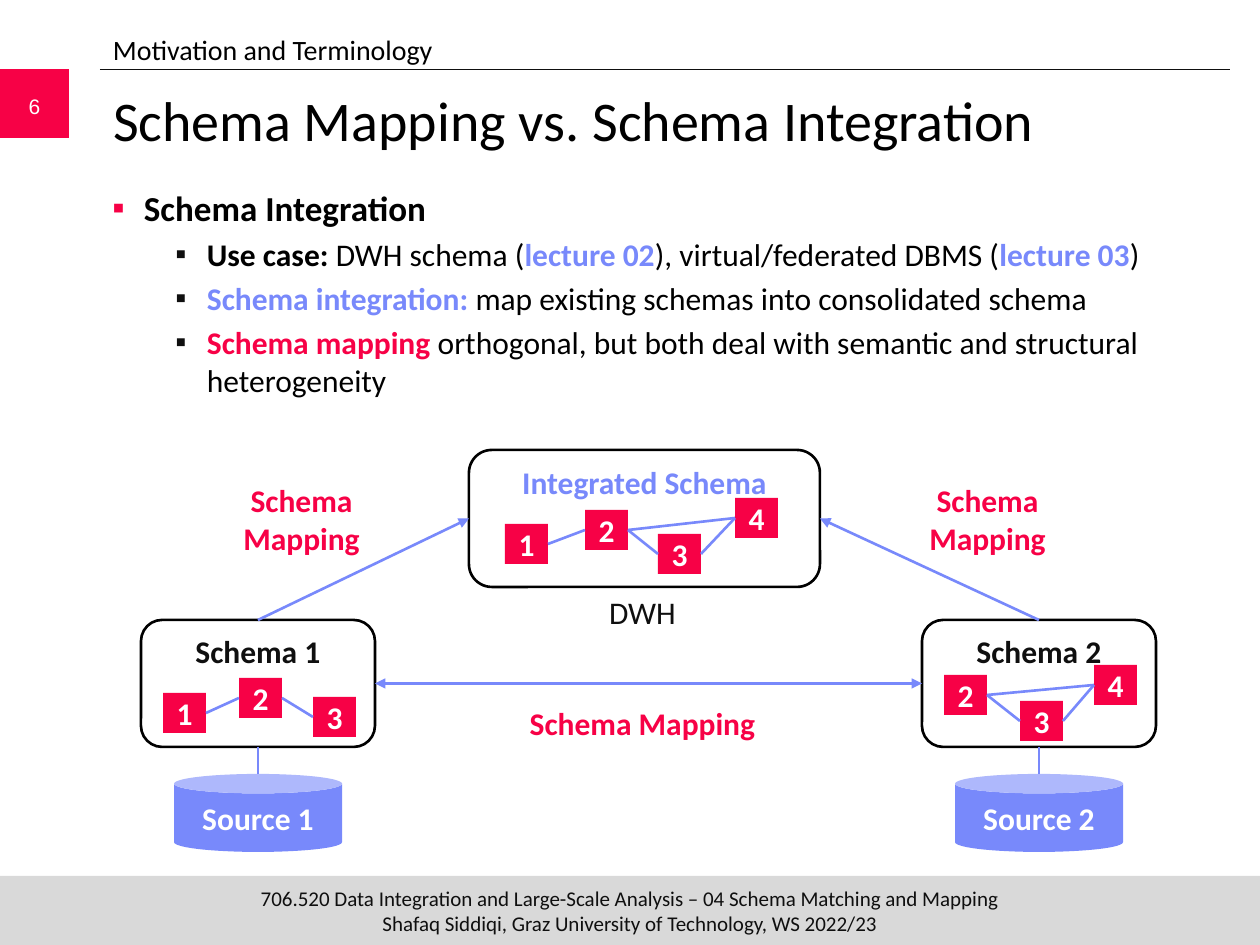
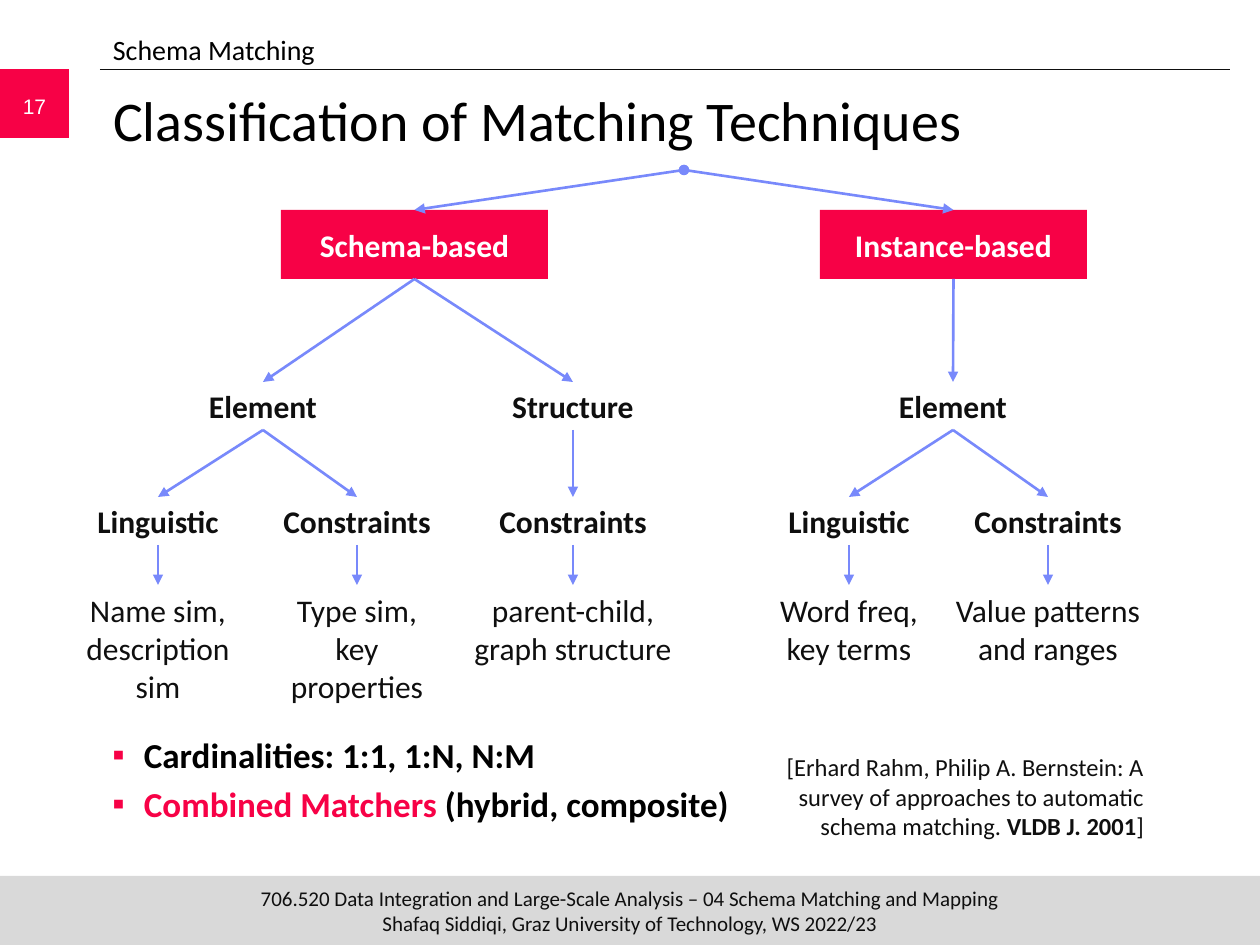
from lxml import etree
from pptx import Presentation
from pptx.dml.color import RGBColor
from pptx.enum.shapes import MSO_CONNECTOR, MSO_SHAPE
from pptx.enum.text import MSO_ANCHOR, PP_ALIGN
from pptx.oxml.ns import qn
from pptx.util import Emu, Pt

STRAIGHT = MSO_CONNECTOR.STRAIGHT
RECT, ROUNDED, CAN = MSO_SHAPE.RECTANGLE, MSO_SHAPE.ROUNDED_RECTANGLE, MSO_SHAPE.CAN
LEFT, CENTER, RIGHT = PP_ALIGN.LEFT, PP_ALIGN.CENTER, PP_ALIGN.RIGHT
UPPER, MIDDLE = MSO_ANCHOR.TOP, MSO_ANCHOR.MIDDLE
TOP_SIDE, LEFT_SIDE, BOTTOM_SIDE, RIGHT_SIDE = range(4)

RED = RGBColor(0xF7, 0x01, 0x46)
BLUE = RGBColor(0x78, 0x89, 0xFB)
INK = RGBColor(0x0F, 0x0F, 0x0F)
BLACK = RGBColor(0, 0, 0)
WHITE = RGBColor(0xFF, 0xFF, 0xFF)
GRAY = RGBColor(0xD9, 0xD9, 0xD9)

PX = 914400 / 126
FOOTER = ("706.520 Data Integration and Large-Scale Analysis – 04 Schema Matching and Mapping\n"
          "Shafaq Siddiqi, Graz University of Technology, WS 2022/23")
CHIP_W, CHIP_H = 43, 40


def px(*lengths):
    return [Emu(round(length * PX)) for length in lengths]


def add_spans(para, spans, size, font="Calibri"):
    for text, color, bold in spans:
        for number, piece in enumerate(text.split("\n")):
            if number:
                para.add_line_break()
            span = para.add_run()
            span.text = piece
            span.font.name = font
            span.font.size = Pt(size)
            span.font.bold = bold
            span.font.color.rgb = color


def set_text(box, spans, size=18, align=CENTER, anchor=MIDDLE, side_inset=13, font="Calibri"):
    frame = box.text_frame
    frame.word_wrap = True
    frame.vertical_anchor = anchor
    frame.margin_left, frame.margin_right = px(side_inset, side_inset)
    para = frame.paragraphs[0]
    para.alignment = align
    add_spans(para, spans, size, font)


def add_label(page, area, spans, **style):
    box = page.shapes.add_textbox(*px(*area))
    set_text(box, spans, **style)
    return box


def add_block(page, kind, area, fill=None, outline=None):
    block = page.shapes.add_shape(kind, *px(*area))
    block.shadow.inherit = False
    if fill is None:
        block.fill.background()
    else:
        block.fill.solid()
        block.fill.fore_color.rgb = fill
    if outline is None:
        block.line.fill.background()
    else:
        block.line.color.rgb = outline
        block.line.width = Pt(1.5)
    return block


def add_line(page, x1, y1, x2, y2, color=BLUE, width=1.5, head=None, tail=None):
    line = page.shapes.add_connector(STRAIGHT, *px(x1, y1, x2, y2))
    line.line.color.rgb = color
    line.line.width = Pt(width)
    outline = line.line._get_or_add_ln()
    for tag, end in (("a:headEnd", head), ("a:tailEnd", tail)):
        if end:
            etree.SubElement(outline, qn(tag), type=end)
    etree.SubElement(line._element.spPr, qn("a:effectLst"))
    return line


def link(page, start, start_side, end, end_side, **ends):
    line = add_line(page, 0, 0, 0, 0, **ends)
    line.begin_connect(start, start_side)
    line.end_connect(end, end_side)


def add_bullets(page, area, items):
    box = page.shapes.add_textbox(*px(*area))
    frame = box.text_frame
    frame.word_wrap = True
    for number, (level, spans) in enumerate(items):
        para = frame.add_paragraph() if number else frame.paragraphs[0]
        size, indent, color = ((20, 0.25, RED), (18, 0.75, INK))[level]
        props = para._p.get_or_add_pPr()
        props.set("marL", str(int(indent * 914400)))
        props.set("indent", "-228600")
        tint = etree.SubElement(props, qn("a:buClr"))
        etree.SubElement(tint, qn("a:srgbClr"), val=str(color))
        etree.SubElement(props, qn("a:buFont"), typeface="Arial")
        etree.SubElement(props, qn("a:buChar"), char="▪")
        if number:
            para.space_before = Pt(size * 0.2)
        add_spans(para, spans, size)


def add_page(deck, number, section, title):
    page = deck.slides.add_slide(deck.slide_layouts[6])
    footer = add_block(page, RECT, (0, 876, 1260, 69), GRAY)
    set_text(footer, [(FOOTER, INK, False)], size=12, side_inset=0)
    add_line(page, 100, 69, 1230, 69, INK, 0.5)
    add_block(page, RECT, (0, 69, 69, 69), RED)
    add_label(page, (0, 81, 69, 50), [(str(number), WHITE, False)], size=12, font="Arial")
    add_label(page, (100, 79, 1129, 105), [(title, BLACK, False)],
              size=32, align=LEFT, anchor=UPPER)
    add_label(page, (100, 26, 1134, 45), [(section, BLACK, False)],
              size=16, align=LEFT, anchor=UPPER)
    return page


def add_schema(page, name, color, area, chip_places, edges):
    schema = add_block(page, ROUNDED, area, outline=BLACK)
    set_text(schema, [(name, color, True)], anchor=UPPER)
    chips = {}
    for number, (x, y) in chip_places.items():
        chips[number] = add_block(page, RECT, (x, y, CHIP_W, CHIP_H), RED)
        set_text(chips[number], [(str(number), WHITE, True)], side_inset=0)
    for start, end in edges:
        link(page, chips[start], RIGHT_SIDE, chips[end], LEFT_SIDE)
    return schema


def add_source_schema(page, number, x, chip_places, edges):
    schema = add_schema(page, f"Schema {number}", INK, (x, 620, 234, 127), chip_places, edges)
    source = add_block(page, CAN, (x + 33, 774, 168, 78), BLUE)
    set_text(source, [(f"Source {number}", WHITE, True)])
    middle = x + 117
    stem = add_line(page, middle, 747, middle, 774)
    stem.begin_connect(schema, BOTTOM_SIDE)
    return schema


def build_integration_page(deck):
    page = add_page(deck, 6, "Motivation and Terminology",
                    "Schema Mapping vs. Schema Integration")
    add_bullets(page, (100, 180, 1129, 230), [
        (0, [("Schema Integration", BLACK, True)]),
        (1, [("Use case:", BLACK, True), (" DWH schema (", BLACK, False),
             ("lecture 02", BLUE, True), ("), virtual/federated DBMS (", BLACK, False),
             ("lecture 03", BLUE, True), (")", BLACK, False)]),
        (1, [("Schema integration:", BLUE, True),
             (" map existing schemas into consolidated schema", BLACK, False)]),
        (1, [("Schema mapping", RED, True),
             (" orthogonal, but both deal with semantic and structural heterogeneity",
              BLACK, False)]),
    ])
    first = add_source_schema(page, 1, 141, {1: (163, 693), 2: (239, 678), 3: (313, 697)},
                              [(1, 2), (2, 3)])
    second = add_source_schema(page, 2, 922, {2: (944, 675), 3: (1020, 701), 4: (1094, 665)},
                               [(2, 3), (3, 4), (2, 4)])
    integrated = add_schema(page, "Integrated Schema", BLUE, (469, 450, 351, 137),
                            {1: (505, 524), 2: (585, 510), 3: (658, 534), 4: (735, 498)},
                            [(1, 2), (2, 3), (2, 4), (3, 4)])
    link(page, first, TOP_SIDE, integrated, LEFT_SIDE, tail="triangle")
    link(page, second, TOP_SIDE, integrated, RIGHT_SIDE, tail="triangle")
    link(page, first, RIGHT_SIDE, second, LEFT_SIDE, head="triangle", tail="triangle")
    for area in ((483, 698, 319, 50), (205, 475, 193, 89), (891, 475, 193, 89)):
        add_label(page, area, [("Schema Mapping", RED, True)], anchor=UPPER, side_inset=0)
    add_label(page, (573, 587, 139, 50), [("DWH", INK, False)], anchor=UPPER, side_inset=0)


def add_node(page, center, top, width, name):
    return add_label(page, (center - width / 2, top, width, 48), [(name, INK, True)])


def add_branch(page, parent, center, name, leaves):
    branch = add_node(page, center, 382, 163, name)
    link(page, parent, BOTTOM_SIDE, branch, TOP_SIDE, tail="triangle")
    for leaf_center, leaf_name, width, detail in leaves:
        leaf = add_node(page, leaf_center, 497, 181, leaf_name)
        link(page, branch, BOTTOM_SIDE, leaf, TOP_SIDE, tail="triangle")
        example = add_label(page, (leaf_center - width / 2, 585, width, 88),
                            [(detail, INK, False)], anchor=UPPER)
        link(page, leaf, BOTTOM_SIDE, example, TOP_SIDE, tail="triangle")


def build_classification_page(deck):
    page = add_page(deck, 17, "Schema Matching", "Classification of Matching Techniques")
    add_bullets(page, (100, 727, 660, 110), [
        (0, [("Cardinalities: 1:1, 1:N, N:M", BLACK, True)]),
        (0, [("Combined Matchers ", RED, True), ("(hybrid, composite)", BLACK, True)]),
    ])
    families = [
        ("Schema-based", 281, [
            (263, "Element", [(158, "Linguistic", 186, "Name sim, description sim"),
                              (357, "Constraints", 186, "Type sim,\nkey properties")]),
            (573, "Structure", [(573, "Constraints", 227, "parent-child, graph structure")]),
        ]),
        ("Instance-based", 820, [
            (953, "Element", [(849, "Linguistic", 186, "Word freq, key terms"),
                              (1048, "Constraints", 227, "Value patterns and ranges")]),
        ]),
    ]
    for name, x, branches in families:
        family = add_block(page, RECT, (x, 210, 267, 69), RED)
        set_text(family, [(name, WHITE, True)])
        fork = add_line(page, 684, 170, 684, 170, head="oval", tail="triangle")
        fork.end_connect(family, TOP_SIDE)
        for center, branch_name, leaves in branches:
            add_branch(page, family, center, branch_name, leaves)
    add_label(page, (766, 746, 391, 102), [
        ("[Erhard Rahm, Philip A. Bernstein: A survey of approaches to automatic "
         "schema matching. ", INK, False),
        ("VLDB J. 2001", INK, True), ("]", INK, False),
    ], size=14, align=RIGHT, anchor=UPPER)


def main():
    deck = Presentation()
    deck.slide_width, deck.slide_height = px(1260, 945)
    build_integration_page(deck)
    build_classification_page(deck)
    deck.save("out.pptx")


if __name__ == "__main__":
    main()
